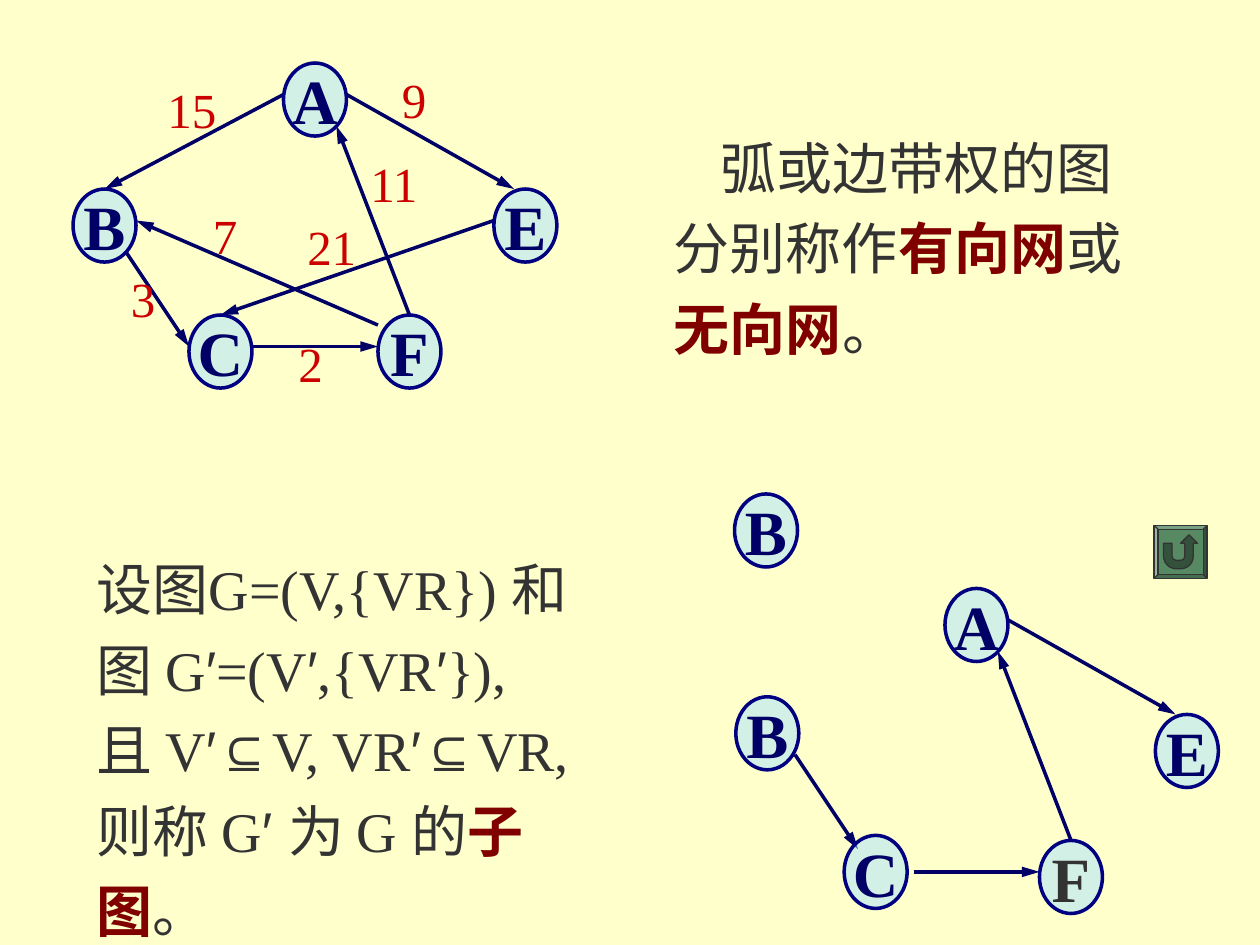
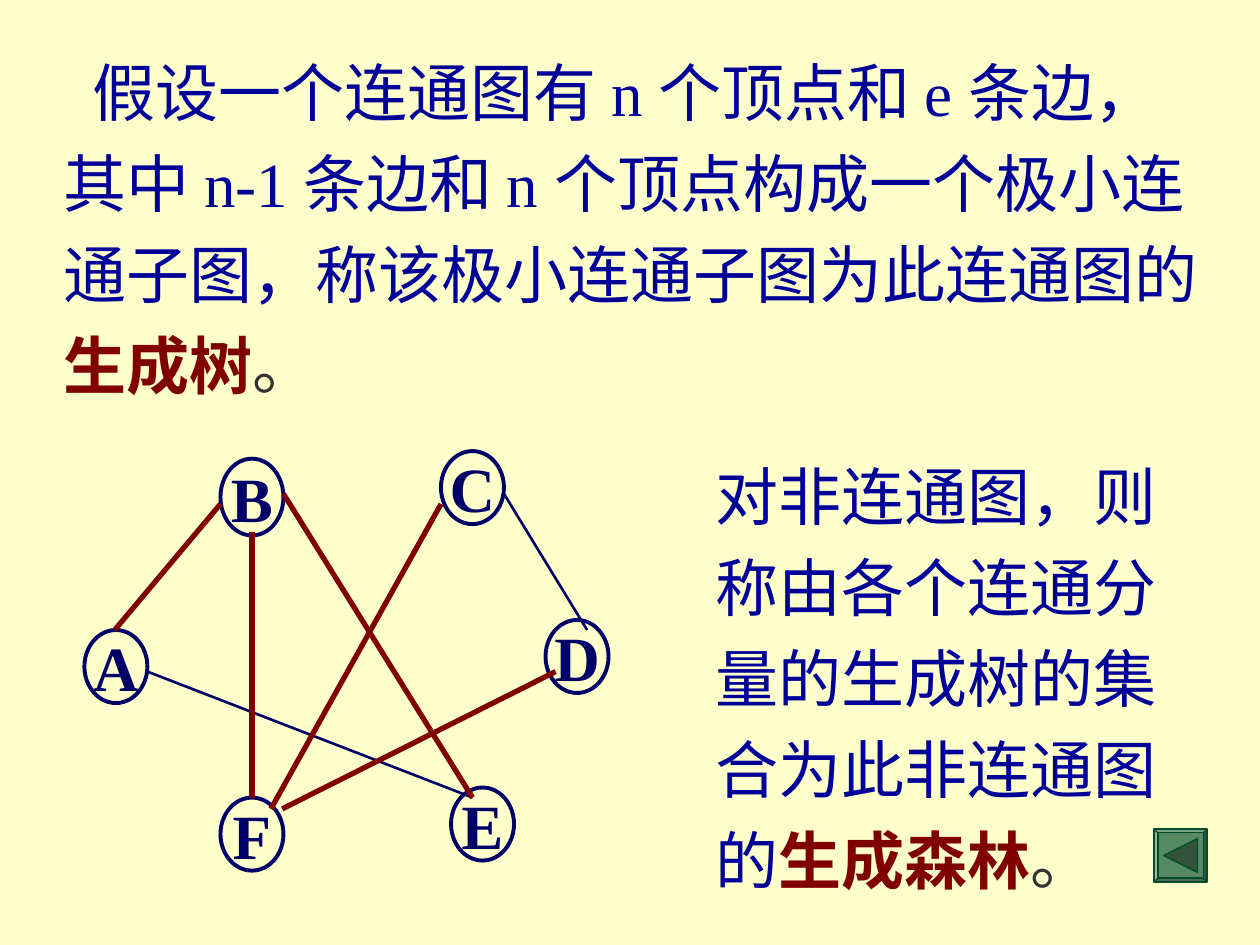
from lxml import etree
from pptx import Presentation
from pptx import util as u
from pptx.dml.color import RGBColor
from pptx.enum import shapes, text
from pptx.oxml.ns import qn

SERIF, SANS, CJK = "Times New Roman", "Arial", "Noto Sans CJK SC"
PAPER, INK, NAVY, BLUE = "FFFFCC", "333333", "000066", "000099"
TERM, WEIGHT = "800000", "CC0000"
NODE_FILL, NODE_EDGE, BUTTON = "A7E2FF", "000080", "578963"
NODE_W, NODE_H = 0.5, 0.58
BUTTON_LEFT, BUTTON_SIZE, BEVEL = 9.16, 0.42, 0.03


def rgb(value):
    return RGBColor.from_string(value)


def add_run(p, words, size, color=INK, bold=False, font=SERIF):
    r = p.add_run()
    r.text = words
    r.font.size = u.Pt(size)
    r.font.name = font
    r.font.bold = bold
    r.font.color.rgb = rgb(color)
    ea = etree.Element(qn("a:ea"), typeface=CJK)
    r._r.rPr.find(qn("a:latin")).addnext(ea)


def add_text_box(slide, left, top, width, height):
    sp = slide.shapes.add_textbox(*map(u.Inches, (left, top, width, height)))
    return sp.text_frame


def add_prose(slide, box, paragraphs, size, pitch, top_inset=0.05, indent=0):
    """Wrapped text; each paragraph is a list of (words, run options)."""
    tf = add_text_box(slide, *box)
    tf.word_wrap = True
    tf.margin_top = u.Inches(top_inset)
    for i, runs in enumerate(paragraphs):
        p = tf.paragraphs[0] if i == 0 else tf.add_paragraph()
        p.line_spacing = u.Pt(pitch)
        pPr = p._p.get_or_add_pPr()
        pPr.set("hangingPunct", "0")
        if indent:
            pPr.set("indent", str(u.Inches(indent)))
        for words, options in runs:
            add_run(p, words, size, **options)


def add_weight(slide, words, left, top):
    tf = add_text_box(slide, left, top, 0.19 + 0.2 * len(words), 0.57)
    tf.word_wrap = False
    add_run(tf.paragraphs[0], words, 28, WEIGHT)


def add_node(slide, name, left, top, height=NODE_H, filled=True, color=NAVY):
    sp = slide.shapes.add_shape(
        shapes.MSO_SHAPE.OVAL, *map(u.Inches, (left, top, NODE_W, height)))
    sp.shadow.inherit = False
    if filled:
        sp.fill.solid()
        sp.fill.fore_color.rgb = rgb(NODE_FILL)
        fill = sp._element.spPr.find(qn("a:solidFill"))
        etree.SubElement(fill[0], qn("a:alpha"), val="50000")
    else:
        sp.fill.background()
    sp.line.color.rgb = rgb(NODE_EDGE if filled else NAVY)
    sp.line.width = u.Pt(2 if filled else 2.25)
    tf = sp.text_frame
    tf.word_wrap = False
    tf.vertical_anchor = text.MSO_ANCHOR.MIDDLE
    p = tf.paragraphs[0]
    p.alignment = text.PP_ALIGN.CENTER
    add_run(p, name, 36, color, bold=True)


def add_edge(slide, x1, y1, x2, y2, color=NAVY, width=2, arrow=False):
    cxn = slide.shapes.add_connector(
        shapes.MSO_CONNECTOR.STRAIGHT, *map(u.Inches, (x1, y1, x2, y2)))
    cxn.line.color.rgb = rgb(color)
    cxn.line.width = u.Pt(width)
    if arrow:
        etree.SubElement(cxn.line._get_or_add_ln(), qn("a:tailEnd"),
                         type="triangle", w="med", len="lg")
    etree.SubElement(cxn._element.spPr, qn("a:effectLst"))


def add_button(slide, kind, top, edge):
    """Bevelled frame with the action button set inside it."""
    for shape_kind, inset in ((shapes.MSO_SHAPE.BEVEL, 0), (kind, BEVEL)):
        side = BUTTON_SIZE - 2 * inset
        sp = slide.shapes.add_shape(shape_kind, *map(
            u.Inches, (BUTTON_LEFT + inset, top + inset, side, side)))
        if inset == 0:
            sp.adjustments[0] = BEVEL / BUTTON_SIZE
        sp.shadow.inherit = False
        sp.fill.solid()
        sp.fill.fore_color.rgb = rgb(BUTTON)
        sp.line.color.rgb = rgb(edge)
        sp.line.width = u.Pt(0.75)


def build_networks(slide):
    """Weighted digraph, and a subgraph of it."""
    arcs = [
        (2.25, 0.75, 0.83, 1.5), (1, 2, 1.5, 2.75), (2, 2.75, 3, 2.75),
        (3.25, 2.5, 2.67, 1), (2.75, 0.75, 4.08, 1.5),
        (3, 2.58, 1.08, 1.75), (3.92, 1.75, 1.75, 2.5),
        (7.25, 6.92, 8.25, 6.92), (8.5, 6.67, 7.92, 5.17),
        (8, 4.92, 9.33, 5.67), (6.31, 5.99, 6.81, 6.74),
    ]
    for arc in arcs:
        add_edge(slide, *arc, arrow=True)

    nodes = [
        ("A", 2.25, 0.5), ("B", 0.58, 1.5), ("E", 3.92, 1.5),
        ("C", 1.5, 2.5), ("F", 3, 2.5),
        ("A", 7.5, 4.67), ("E", 9.17, 5.67), ("B", 5.83, 3.92),
        ("B", 5.84, 5.53), ("C", 6.7, 6.63),
    ]
    for node in nodes:
        add_node(slide, *node)
    add_node(slide, "F", 8.25, 6.67, color=INK)

    prime = {"font": SANS}
    term = {"color": TERM, "bold": True}
    add_prose(slide, (0.67, 4.25, 4.33, 3.3), [
        [("设图G=(V,{VR}) 和图 G", {}), ("′", prime), ("=(V", {}),
         ("′", prime), (",{VR", {}), ("′", prime), ("}),", {})],
        [("且 V", {}), ("′⊆", prime), ("V, VR", {}), ("′⊆", prime),
         ("VR,", {})],
        [("则称 G", {}), ("′ ", prime), ("为 G 的", {}), ("子图", term),
         ("。", {})],
    ], 32, 46)

    weights = [
        ("15", 1.23, 0.58), ("9", 3.09, 0.5), ("7", 1.59, 1.58),
        ("21", 2.34, 1.67), ("11", 2.84, 1.17), ("3", 0.94, 2.08),
        ("2", 2.27, 2.6),
    ]
    for weight in weights:
        add_weight(slide, *weight)

    add_prose(slide, (5.25, 0.75, 4, 2.18), [
        [("弧或边带权的图分别称作", {}), ("有向网", term), ("或", {}),
         ("无向网", term), ("。", {})],
    ], 32, 46, top_inset=0.2, indent=0.37)
    add_button(slide, shapes.MSO_SHAPE.ACTION_BUTTON_RETURN, 4.17, INK)


def build_spanning_tree(slide):
    han = {"color": BLUE, "font": CJK}
    symbol = {"color": BLUE}
    term = {"color": TERM, "bold": True}
    add_prose(slide, (0.41, 0.25, 9.3, 2.98), [
        [("假设一个连通图有 ", han), ("n ", symbol), ("个顶点和 ", han),
         ("e ", symbol), ("条边，其中 ", han), ("n-1 ", symbol),
         ("条边和 ", han), ("n ", symbol),
         ("个顶点构成一个极小连通子图，称该极小连通子图为此连通图的", han),
         ("生成树", {**term, "font": CJK}), ("。", {"font": CJK})],
    ], 36, 52, indent=0.23)
    add_prose(slide, (5.58, 3.46, 4.17, 3.7), [
        [("对非连通图，则称由各个连通分量的生成树的集合为此非连通图的", symbol),
         ("生成森林", term), ("。", {})],
    ], 36, 52)

    add_node(slide, "B", 1.75, 3.64, height=0.61, filled=False)
    nodes = [("A", 0.67, 5), ("C", 3.5, 3.58), ("D", 4.33, 4.92),
             ("F", 1.75, 6.33), ("E", 3.58, 6.25)]
    for node in nodes:
        add_node(slide, *node, filled=False)

    other_edges = [(1.17, 5.33, 3.75, 6.33), (4, 3.92, 4.66, 5)]
    tree_edges = [
        (1.75, 4, 0.91, 5), (2.25, 3.92, 3.75, 6.33), (3.5, 4, 2.15, 6.42),
        (4.41, 5.33, 2.24, 6.42), (2, 4.22, 2, 6.33),
    ]
    for edge in other_edges:
        add_edge(slide, *edge, width=1.5)
    for edge in tree_edges:
        add_edge(slide, *edge, color=TERM, width=3)
    add_button(slide, shapes.MSO_SHAPE.ACTION_BUTTON_BACK_OR_PREVIOUS,
               6.58, "004C2B")


def main():
    prs = Presentation()
    prs.slide_width, prs.slide_height = u.Inches(10), u.Inches(7.5)
    paper = prs.slide_master.background.fill
    paper.solid()
    paper.fore_color.rgb = rgb(PAPER)
    blank = prs.slide_layouts[6]
    for build in (build_networks, build_spanning_tree):
        build(prs.slides.add_slide(blank))
    prs.save("out.pptx")


if __name__ == "__main__":
    main()
